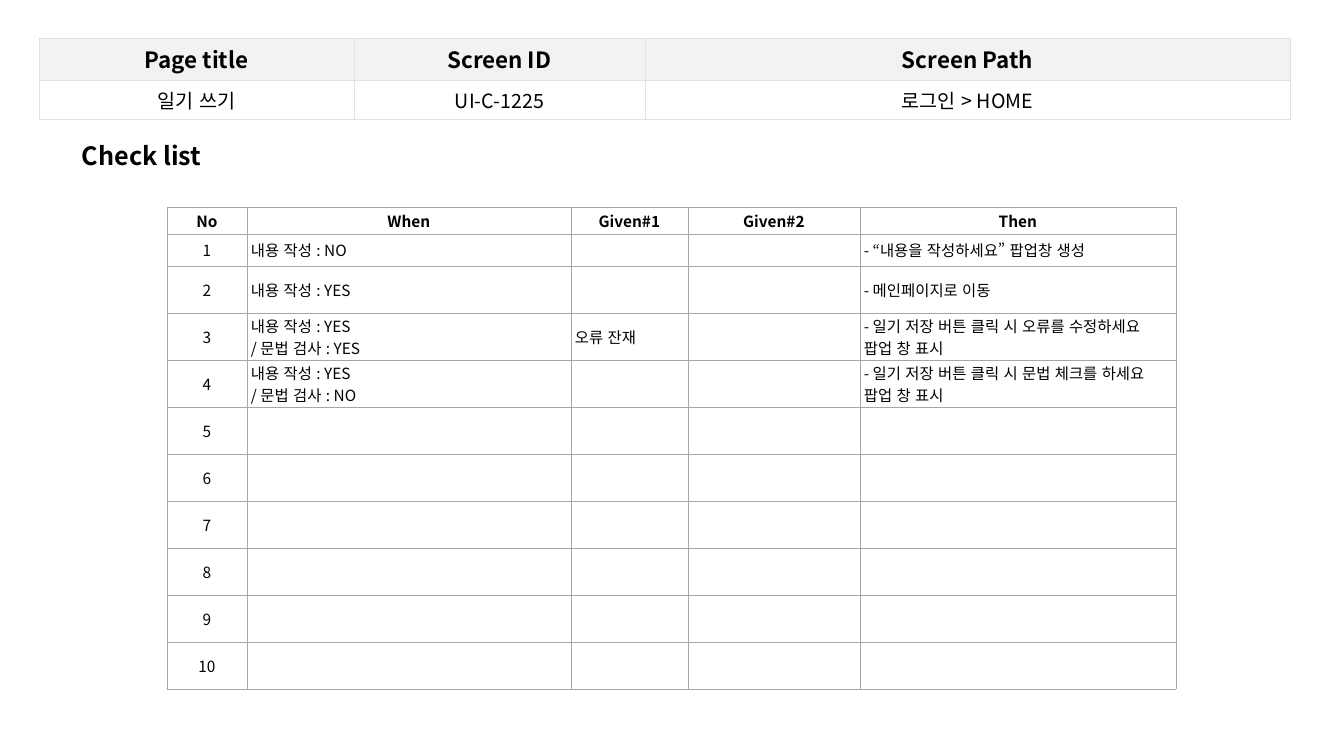
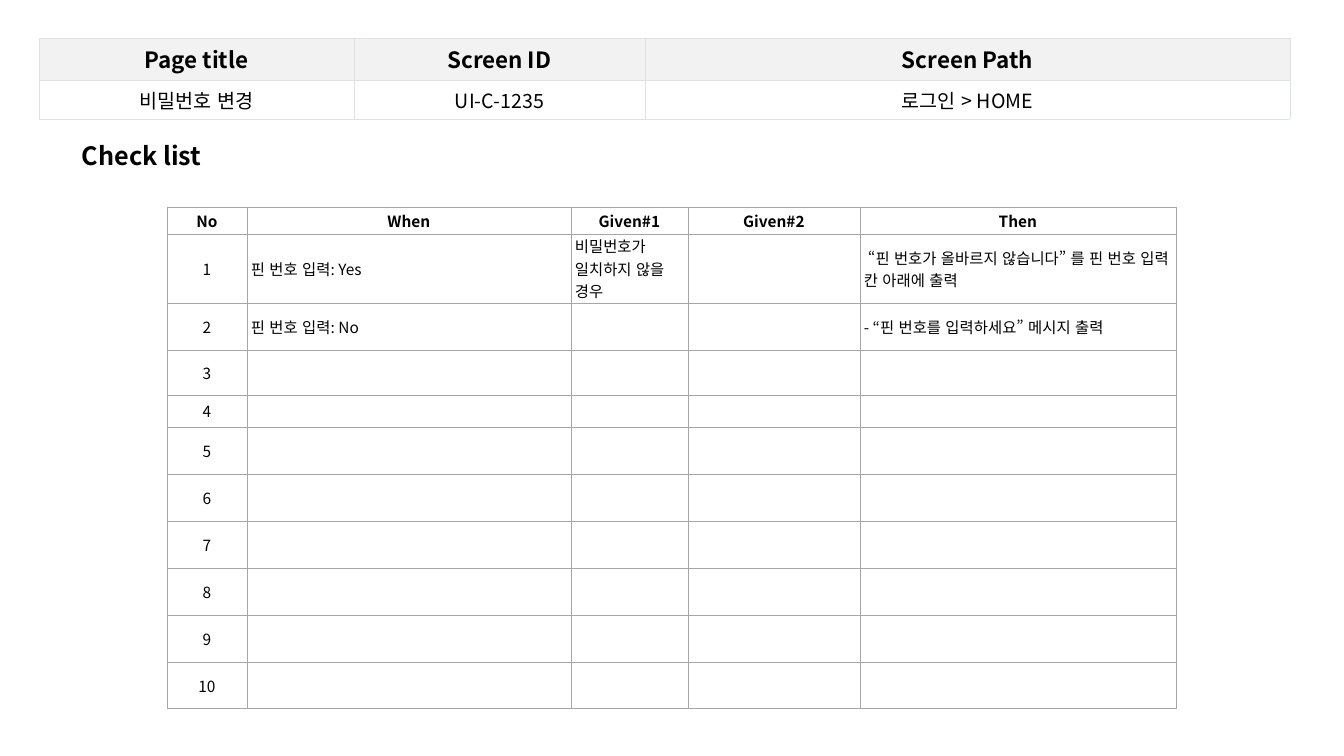
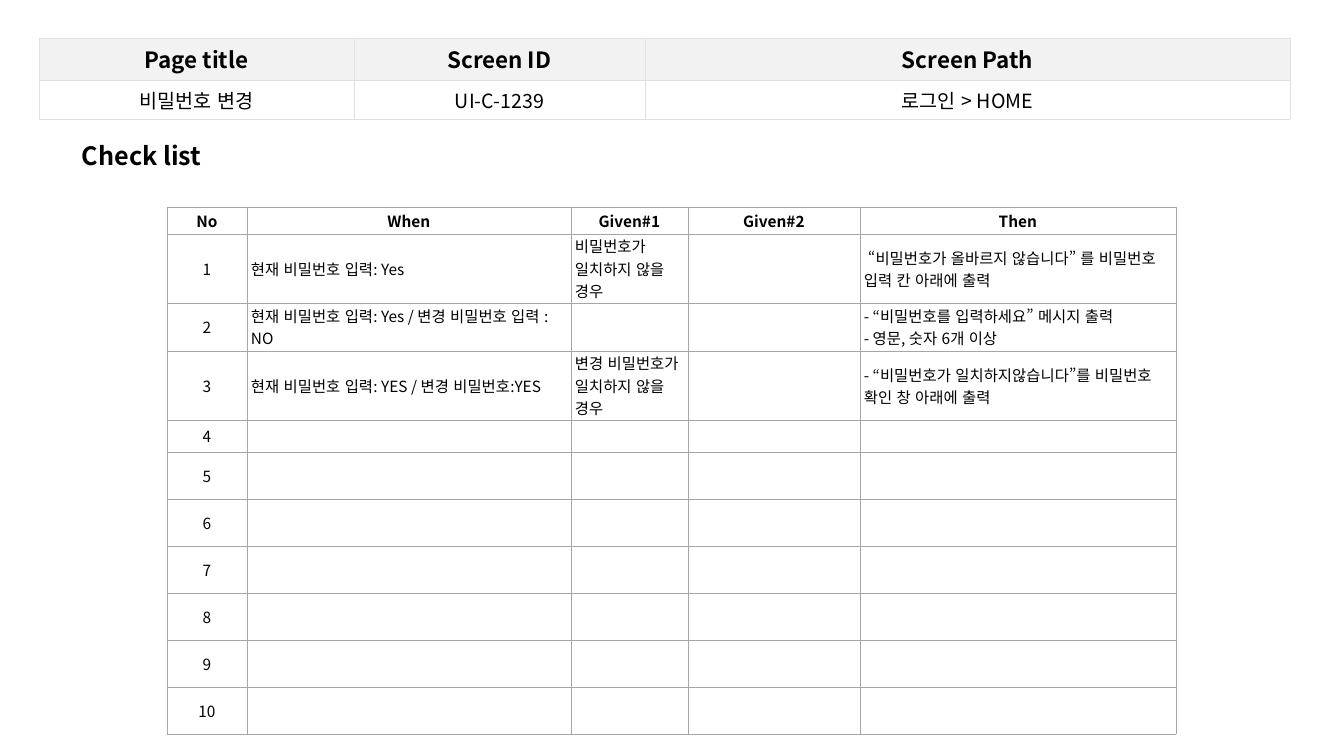
from lxml.etree import SubElement
from pptx import Presentation
from pptx.dml.color import RGBColor
from pptx.enum.lang import MSO_LANGUAGE_ID
from pptx.enum.text import MSO_ANCHOR, MSO_AUTO_SIZE, PP_ALIGN
from pptx.oxml.ns import qn
from pptx.util import Emu, Pt

# Shared style
BLACK = RGBColor(0x00, 0x00, 0x00)
WHITE = RGBColor(0xFF, 0xFF, 0xFF)
HEADER_GREY = RGBColor(0xF2, 0xF2, 0xF2)
PALE_LINE = RGBColor(0xDF, 0xE2, 0xE5)
GREY_LINE = RGBColor(0xA6, 0xA6, 0xA6)
FONT = "Noto Sans CJK KR"
PX_PER_INCH = 100.8

# Shared layout, in px
INFO_COLS = (315, 291, 645)
INFO_ROWS = (42, 39)
INFO_HEADS = ("Page title", "Screen ID", "Screen Path")
CHECK_COLS = (80, 324, 117, 172, 316)
CHECK_HEADS = ("No", "When", "Given#1", "Given#2", "Then")
CHECK_HEAD_HEIGHT = 27
CHECK_ROW_HEIGHT = 47
CHECK_COUNT = 10

# Content: first row heights, then the filled rows (when, given 1, given 2, then)
SCREENS = [
    {
        "info": ("일기 쓰기", "UI-C-1225", "로그인 > HOME"),
        "heights": (32, 47, 47, 47),
        "checks": [
            ("내용 작성 : NO", "", "", "- “내용을 작성하세요” 팝업창 생성"),
            ("내용 작성 : YES", "", "", "- 메인페이지로 이동"),
            ("내용 작성 : YES\n/ 문법 검사 : YES", "오류 잔재", "",
             "- 일기 저장 버튼 클릭 시 오류를 수정하세요 팝업 창 표시"),
            ("내용 작성 : YES\n/ 문법 검사 : NO", "", "",
             "- 일기 저장 버튼 클릭 시 문법 체크를 하세요 팝업 창 표시"),
        ],
    },
    {
        "info": ("비밀번호 변경", "UI-C-1235", "로그인 > HOME"),
        "heights": (69, 47, 45, 32),
        "checks": [
            ("핀 번호 입력: Yes", "비밀번호가 일치하지 않을 경우", "",
             " “핀 번호가 올바르지 않습니다” 를 핀 번호 입력 칸 아래에 출력"),
            ("핀 번호 입력: No", "", "", "- “핀 번호를 입력하세요” 메시지 출력"),
        ],
    },
    {
        "info": ("비밀번호 변경", "UI-C-1239", "로그인 > HOME"),
        "heights": (69, 48, 69, 32),
        "checks": [
            ("현재 비밀번호 입력: Yes", "비밀번호가 일치하지 않을 경우", "",
             " “비밀번호가 올바르지 않습니다” 를 비밀번호 입력 칸 아래에 출력"),
            ("현재 비밀번호 입력: Yes / 변경 비밀번호 입력 : NO", "", "",
             "- “비밀번호를 입력하세요” 메시지 출력\n- 영문, 숫자 6개 이상"),
            ("현재 비밀번호 입력: YES / 변경 비밀번호:YES",
             "변경 비밀번호가 일치하지 않을 경우", "",
             "- “비밀번호가 일치하지않습니다”를 비밀번호 확인 창 아래에 출력"),
        ],
    },
]


def px(length):
    return Emu(round(length * 914400 / PX_PER_INCH))


def apply(target, values):
    for name, value in values.items():
        setattr(target, name, value)


class Deck:
    def __init__(self):
        self.presentation = Presentation()
        apply(self.presentation, {"slide_width": px(1344), "slide_height": px(756)})
        self.slide = None

    def new_slide(self):
        self.slide = self.presentation.slides.add_slide(self.presentation.slide_layouts[6])

    def fill_text(self, frame, text, size, bold=False, align=PP_ALIGN.LEFT):
        for index, line in enumerate(text.split("\n")):
            paragraph = frame.add_paragraph() if index else frame.paragraphs[0]
            paragraph.alignment = align
            if not line:
                # An empty cell keeps the small line height
                SubElement(paragraph._p, qn("a:endParaRPr"), sz=str(size * 100))
                continue
            run = paragraph.add_run()
            run.text = line
            apply(run.font, {"name": FONT, "size": Pt(size), "bold": bold,
                             "language_id": MSO_LANGUAGE_ID.KOREAN})
            run.font.color.rgb = BLACK
            SubElement(run.font._element, qn("a:ea"), typeface=FONT)

    def title(self, text, left, top, width, height):
        frame = self.slide.shapes.add_textbox(px(left), px(top), px(width), px(height)).text_frame
        apply(frame, {"word_wrap": True, "auto_size": MSO_AUTO_SIZE.SHAPE_TO_FIT_TEXT})
        self.fill_text(frame, text, 18, bold=True)

    def table(self, left, top, cols, rows):
        table = self.slide.shapes.add_table(
            len(rows), len(cols), px(left), px(top), px(sum(cols)), px(sum(rows))).table
        apply(table, {"first_row": False, "horz_banding": False})
        for column, width in zip(table.columns, cols):
            column.width = px(width)
        for row, height in zip(table.rows, rows):
            row.height = px(height)
        return table

    def cell(self, cell, text, size, inset, line, fill=WHITE, **text_format):
        side, end = map(px, inset)
        apply(cell, {"margin_left": side, "margin_right": side, "margin_top": end,
                     "margin_bottom": end, "vertical_anchor": MSO_ANCHOR.MIDDLE})
        color, weight = line
        properties = cell._tc.get_or_add_tcPr()
        for edge in ("a:lnL", "a:lnR", "a:lnT", "a:lnB"):
            border = SubElement(properties, qn(edge), w=str(Pt(weight)))
            paint = SubElement(border, qn("a:solidFill"))
            SubElement(paint, qn("a:srgbClr"), val=str(color))
        cell.fill.solid()
        cell.fill.fore_color.rgb = fill
        self.fill_text(cell.text_frame, text, size, **text_format)

    def info_table(self, info):
        table = self.table(39, 38, INFO_COLS, INFO_ROWS)
        frame = {"inset": (11, 5), "line": (PALE_LINE, 0.6), "align": PP_ALIGN.CENTER}
        for col, (head, value) in enumerate(zip(INFO_HEADS, info)):
            self.cell(table.cell(0, col), head, 16, fill=HEADER_GREY, bold=True, **frame)
            self.cell(table.cell(1, col), value, 14, **frame)

    def check_table(self, heights, checks):
        spare = CHECK_COUNT - len(heights)
        rows = (CHECK_HEAD_HEIGHT, *heights, *[CHECK_ROW_HEIGHT] * spare)
        blanks = [("",) * 4] * (CHECK_COUNT - len(checks))
        lines = [CHECK_HEADS]
        lines += [(str(number), *check) for number, check in enumerate(checks + blanks, 1)]
        table = self.table(167, 207, CHECK_COLS, rows)
        for row, line in enumerate(lines):
            for col, text in enumerate(line):
                is_head = row == 0
                centred = is_head or col == 0
                self.cell(table.cell(row, col), text, 11, (4, 2 if is_head else 1),
                          (GREY_LINE, 0.5), bold=is_head,
                          align=PP_ALIGN.CENTER if centred else PP_ALIGN.LEFT)


def main():
    deck = Deck()
    for screen in SCREENS:
        deck.new_slide()
        deck.info_table(screen["info"])
        deck.check_table(screen["heights"], screen["checks"])
        deck.title("Check list", 72, 135, 385, 40)
    deck.presentation.save("out.pptx")


if __name__ == "__main__":
    main()
